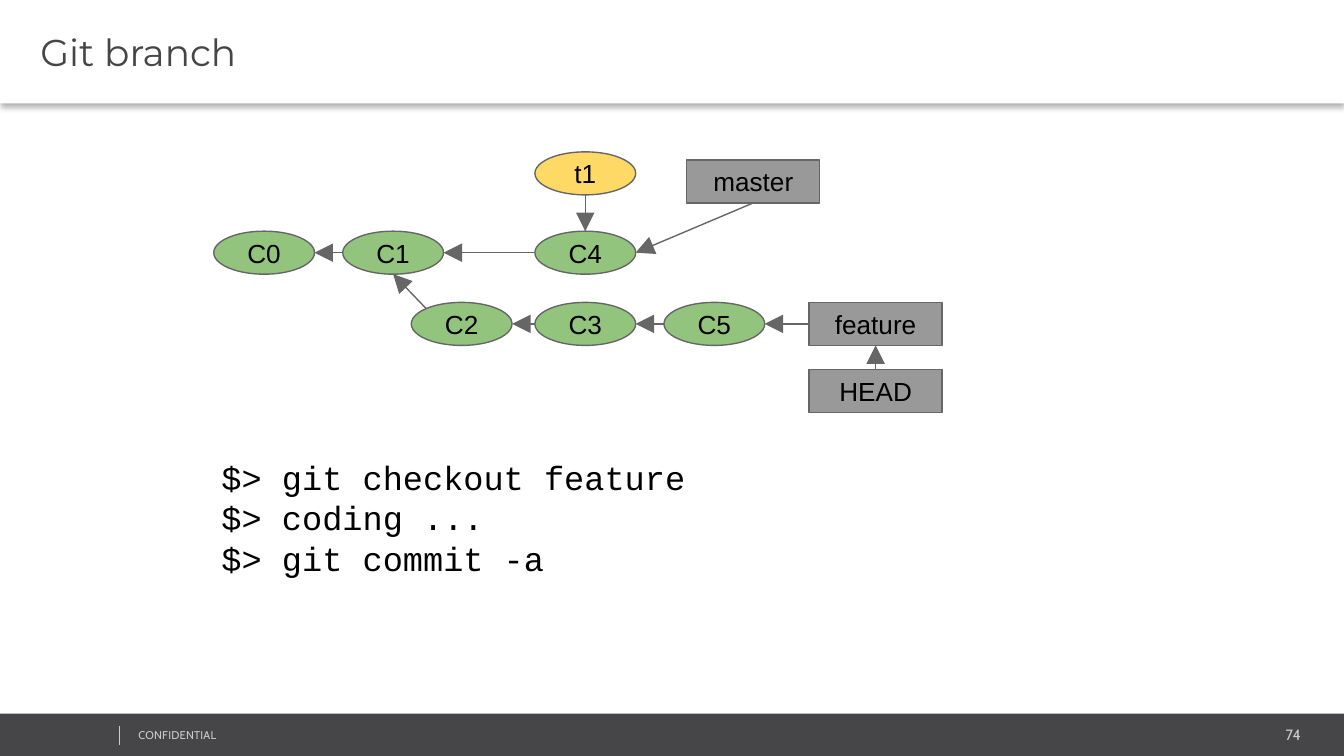
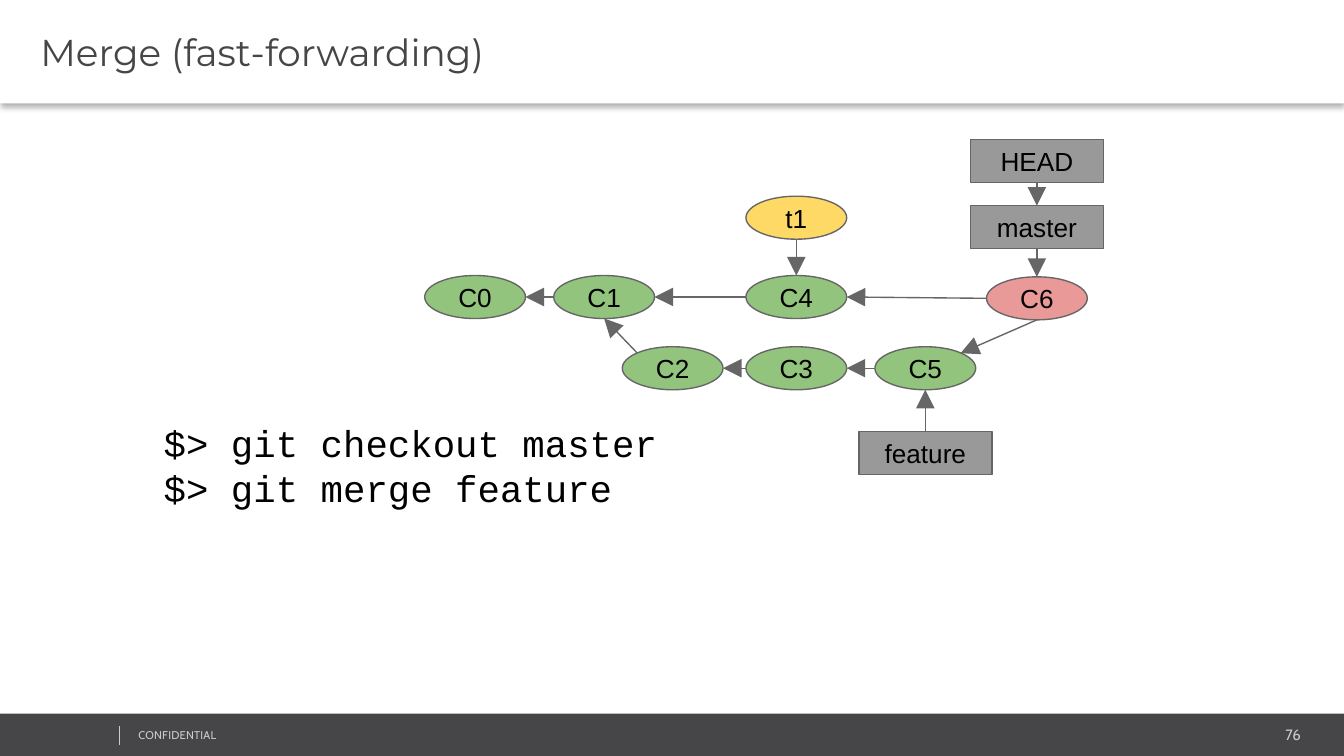
from lxml.etree import SubElement
from pptx import Presentation
from pptx.dml.color import RGBColor
from pptx.enum.shapes import MSO_CONNECTOR as Line, MSO_SHAPE as Shape
from pptx.enum.text import MSO_ANCHOR as Anchor, MSO_AUTO_SIZE as Fit, PP_ALIGN as Align
from pptx.oxml import parse_xml
from pptx.oxml.ns import nsdecls, qn
from pptx.util import Inches, Pt


def color(value):
    return RGBColor.from_string(value)


def write(shape, lines, look, margins):
    frame = shape.text_frame
    frame.word_wrap = True
    frame.vertical_anchor = look.get("anchor", Anchor.TOP)
    frame.auto_size = look.get("fit", Fit.NONE)
    for side, margin in zip(("left", "top", "right", "bottom"), margins):
        setattr(frame, f"margin_{side}", Inches(margin))
    for number, line in enumerate(lines):
        para = frame.add_paragraph() if number else frame.paragraphs[0]
        para.alignment = look.get("align", Align.LEFT)
        para.space_before = Pt(look.get("before", 0))
        span = para.add_run()
        span.text = line
        for name, value in look["font"].items():
            setattr(span.font, name, value)
        span.font.color.rgb = color(look["color"])
        if "tracking" in look:
            span.font._element.set("spc", look["tracking"])


DARK, PALE, EDGE, BLACK = "464547", "CCCCCC", "666666", "000000"
GREEN, YELLOW, RED, GRAY = "93C47D", "FFD966", "EA9999", "999999"

TITLE = {"font": {"name": "Montserrat", "size": Pt(20)}, "color": DARK,
         "anchor": Anchor.MIDDLE, "before": 4}
LABEL = {"font": {"name": "Arial", "size": Pt(14)}, "color": BLACK,
         "anchor": Anchor.MIDDLE, "align": Align.CENTER}
NUMBER = {"font": {"name": "Cabin", "size": Pt(8)}, "color": PALE,
          "align": Align.RIGHT, "fit": Fit.SHAPE_TO_FIT_TEXT}
NOTICE = {"font": {"name": "Cabin", "size": Pt(6)}, "color": PALE,
          "tracking": "10", "fit": Fit.SHAPE_TO_FIT_TEXT}
TITLE_MARGINS = (0.3, 0.04, 0.07, 0.04)
FOOTER_MARGINS = (0.07, 0.04, 0.07, 0.04)
EVEN_MARGINS = (0.1,) * 4

SHADOW = (
    f'<a:effectLst {nsdecls("a")}><a:outerShdw blurRad="{Pt(3.1)}" dist="{Pt(2)}" '
    'dir="5400000" algn="t" rotWithShape="0"><a:srgbClr val="000000">'
    '<a:alpha val="30000"/></a:srgbClr></a:outerShdw></a:effectLst>'
)

SITES = {
    "top": (0.5, 0), "left": (0, 0.5), "bottom": (0.5, 1), "right": (1, 0.5),
    "top left": (0.15, 0.15), "top right": (0.85, 0.15),
}
SIDES = list(SITES)

COMMITS = {
    "С0": (0, 0.59), "С1": (0.96, 0.59), "С4": (2.39, 0.59), "t1": (2.39, 0),
    "С2": (1.47, 1.12), "С3": (2.39, 1.12), "С5": (3.35, 1.12),
}
COMMIT_FILLS = {"t1": YELLOW, "С6": RED}
HISTORY = [
    ("С1", "left", "С0", "right"),
    ("С4", "left", "С1", "right"),
    ("t1", "bottom", "С4", "top"),
    ("С2", "top left", "С1", "bottom"),
    ("С3", "left", "С2", "right"),
    ("С5", "left", "С3", "right"),
]

SLIDES = [
    {
        "title": "Git branch",
        "number": "74",
        "origin": (1.59, 1.13),
        "extra commits": {},
        "refs": {"master": (5.11, 1.19), "feature": (6.02, 2.25), "HEAD": (6.02, 2.75)},
        "links": [
            ("master", "bottom", "С4", "right"),
            ("feature", "left", "С5", "right"),
            ("HEAD", "top", "feature", "bottom"),
        ],
        "commands": ["$> git checkout feature", "$> coding ...", "$> git commit -a"],
        "commands at": (1.55, 3.3),
        "commands size": 18,
    },
    {
        "title": "Merge (fast-forwarding)",
        "number": "76",
        "origin": (3.16, 1.46),
        "extra commits": {"С6": (4.18, 0.6)},
        "refs": {"HEAD": (7.22, 1.04), "master": (7.22, 1.53), "feature": (6.39, 3.21)},
        "links": [
            ("HEAD", "bottom", "master", "top"),
            ("master", "bottom", "С6", "top"),
            ("С6", "left", "С4", "right"),
            ("С6", "bottom", "С5", "top right"),
            ("feature", "top", "С5", "bottom"),
        ],
        "commands": ["$> git checkout master", "$> git merge feature"],
        "commands at": (1.12, 3.03),
        "commands size": 20,
    },
]

deck = Presentation()
deck.slide_width = Inches(10)
deck.slide_height = deck.slide_width * 9 // 16

for content in SLIDES:
    page = deck.slides.add_slide(deck.slide_layouts[6])
    shapes = page.shapes

    footer = shapes.add_shape(Shape.RECTANGLE, 0, Inches(5.31), Inches(10.01), Inches(0.33))
    header = shapes.add_shape(Shape.RECTANGLE, 0, 0, Inches(10), Inches(0.77))
    for band, fill in ((footer, DARK), (header, "FFFFFF")):
        band.shadow.inherit = False
        band.fill.solid()
        band.fill.fore_color.rgb = color(fill)
        band.line.fill.background()
    effects = header._element.spPr.find(qn("a:effectLst"))
    effects.getparent().replace(effects, parse_xml(SHADOW))
    write(header, [content["title"]], TITLE, TITLE_MARGINS)

    number = shapes.add_textbox(Inches(8.12), Inches(5.36), Inches(1.63), Inches(0.21))
    write(number, [content["number"]], NUMBER, FOOTER_MARGINS)
    notice = shapes.add_textbox(Inches(0.96), Inches(5.38), Inches(2.53), Inches(0.18))
    write(notice, ["CONFIDENTIAL"], NOTICE, FOOTER_MARGINS)
    divider = shapes.add_connector(
        Line.STRAIGHT, Inches(0.89), Inches(5.4), Inches(0.89), Inches(5.54))
    divider.line.color.rgb = color(PALE)
    divider.line.width = Pt(0.25)
    SubElement(divider._element.spPr, qn("a:effectLst"))

    left, top = content["origin"]
    nodes = [
        (name, Shape.OVAL, left + x, top + y, 0.75, COMMIT_FILLS.get(name, GREEN))
        for name, (x, y) in (COMMITS | content["extra commits"]).items()
    ]
    nodes += [
        (name, Shape.RECTANGLE, x, y, 0.99, GRAY)
        for name, (x, y) in content["refs"].items()
    ]
    boxes = {}
    for name, kind, x, y, width, fill in nodes:
        box = shapes.add_shape(kind, Inches(x), Inches(y), Inches(width), Inches(0.32))
        box.shadow.inherit = False
        box.fill.solid()
        box.fill.fore_color.rgb = color(fill)
        box.line.color.rgb = color(EDGE)
        box.line.width = Pt(0.75)
        write(box, [name], LABEL, EVEN_MARGINS)
        boxes[name] = box

    for start, start_side, end, end_side in HISTORY + content["links"]:
        points = []
        for name, side in ((start, start_side), (end, end_side)):
            box, (across, down) = boxes[name], SITES[side]
            points += [int(box.left + across * box.width), int(box.top + down * box.height)]
        arrow = shapes.add_connector(Line.STRAIGHT, *points)
        if start in content["refs"]:
            arrow.begin_connect(boxes[start], SIDES.index(start_side))
        if end in content["refs"]:
            arrow.end_connect(boxes[end], SIDES.index(end_side))
        arrow.line.color.rgb = color(EDGE)
        arrow.line.width = Pt(0.75)
        SubElement(arrow.line._get_or_add_ln(), qn("a:tailEnd"), type="triangle", w="lg", len="lg")
        SubElement(arrow._element.spPr, qn("a:effectLst"))

    x, y = content["commands at"]
    commands = shapes.add_textbox(Inches(x), Inches(y), Inches(4.37), Inches(1.63))
    code = {"font": {"name": "Courier New", "size": Pt(content["commands size"])}, "color": BLACK}
    write(commands, content["commands"], code, EVEN_MARGINS)

deck.save("out.pptx")
